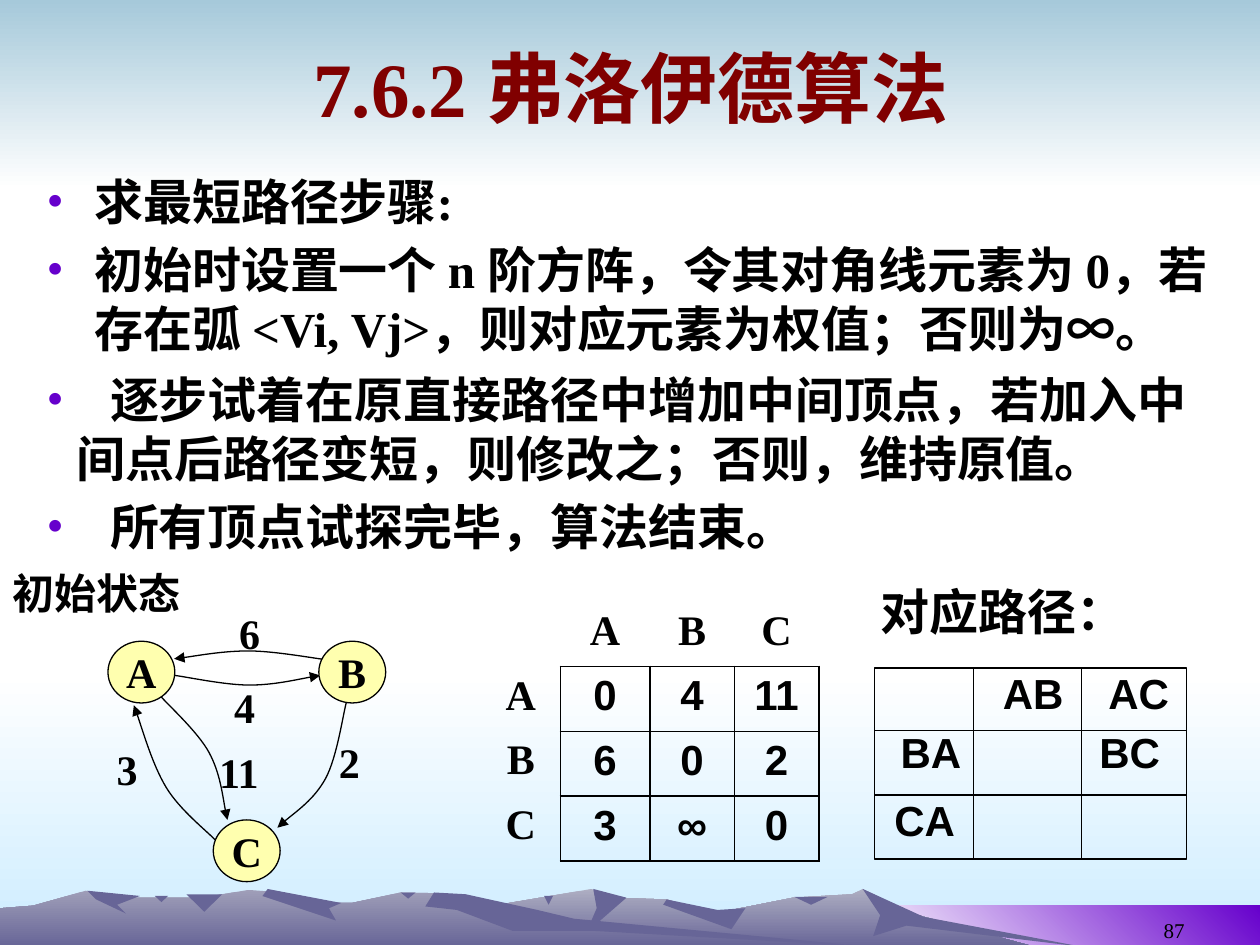
import pptx
import pptx.dml.color
import pptx.enum.shapes
import pptx.enum.text
import pptx.oxml
import pptx.oxml.ns
import pptx.util
from lxml import etree

Pt = pptx.util.Pt
RGBColor = pptx.dml.color.RGBColor
qn = pptx.oxml.ns.qn
ALIGN = pptx.enum.text.PP_ALIGN
ANCHOR = pptx.enum.text.MSO_ANCHOR
SHAPE = pptx.enum.shapes.MSO_SHAPE

BLACK = RGBColor(0, 0, 0)
WHITE = RGBColor(255, 255, 255)
MAROON = RGBColor(0x80, 0, 0)
PURPLE = RGBColor(0x66, 0, 0xCC)
SKY = RGBColor(0xA6, 0xC9, 0xDA)
PALE_BLUE = RGBColor(0xCC, 0xEC, 0xFF)
FAR_RIDGE = RGBColor(0xAE, 0xAE, 0xC2)
NEAR_RIDGE = RGBColor(0x9F, 0x9E, 0xB8)
ROCK = RGBColor(0x67, 0x65, 0x97)
NODE_YELLOW = RGBColor(0xFF, 0xFF, 0xAF)
SERIF = "Times New Roman"
SANS = "Arial"
DOWNWARD = 270
RIGHT_UPWARD = 45
GROUND = 541
HAIRLINE = Pt(0.75)
LABEL_HEIGHT = 36

presentation = pptx.Presentation()
presentation.slide_width = Pt(720)
presentation.slide_height = Pt(540)
slide = presentation.slides.add_slide(presentation.slide_layouts[6])
shapes = slide.shapes


def format_text(text_frame, size, font=SERIF, align=ALIGN.LEFT, bold=True, color=BLACK):
    for paragraph in text_frame.paragraphs:
        paragraph.alignment = align
        for run in paragraph.runs:
            run.font.size = Pt(size)
            run.font.name = font
            run.font.bold = bold
            run.font.color.rgb = color


def add_text(text, left, top, width, height, size, anchor=ANCHOR.TOP, **style):
    text_frame = shapes.add_textbox(Pt(left), Pt(top), Pt(width), Pt(height)).text_frame
    text_frame.word_wrap = True
    text_frame.vertical_anchor = anchor
    text_frame.text = text
    format_text(text_frame, size, **style)
    return text_frame


scenery = []
for left, top, width, height, colors, angle in [
    (0, 384, 720, 156, (WHITE, PALE_BLUE), DOWNWARD),
    (0, 0, 720, 108, (SKY, WHITE), DOWNWARD),
    (492, 517.5, 228, 24, (WHITE, PURPLE), RIGHT_UPWARD),
]:
    shape = shapes.add_shape(SHAPE.RECTANGLE, Pt(left), Pt(top), Pt(width), Pt(height))
    scenery.append((shape, colors, angle))

far_skyline = [(186, GROUND), (256, 522), (297, 515), (338, 508), (350, 513), (381, 514),
               (408, 522), (453, 513), (487, 511), (493, 508), (521, 522), (591, GROUND)]
far_right_face = [(493, 508), (503, 523), (499, 535), (518, 529), (618, GROUND), (528, 524)]
far_middle_face = [(339, 508), (341, 519), (335, 533), (358, 513)]
far_valley_face = [(381, 514), (379, 517), (418, 531), (426, 519), (410, 520)]
far_ledges = [(454, 512.5, 19, 4.5), (311, 512, 5, 5)]

near_skyline = [(0, GROUND), (0, 519), (19, 517.5), (49, 509), (68, 513), (115, 513),
                (142, 508.5), (161, 510), (170, 516), (201, 516), (229, 510), (255, 510.5),
                (311, 527), (497, GROUND)]
near_right_face = [(243, 518), (248, 510), (266, 511), (307, 520), (328, 525),
                   (497, GROUND), (340, 532), (293, 532), (261, 520)]
near_middle_face = [(153, 508), (150, 512), (192, 526), (188, 519), (195, 516)]
near_left_face = [(50, 509), (55, 514), (72, 522), (67, 517), (80, 512)]
near_ledges = [(229, 510, 8.5, 3.5), (106.5, 511, 20.5, 10), (88.5, 512, 7.5, 3.5)]

for skyline, ridge_color, faces, ledges in [
    (far_skyline, FAR_RIDGE, [far_right_face, far_middle_face, far_valley_face], far_ledges),
    (near_skyline, NEAR_RIDGE, [near_right_face, near_middle_face, near_left_face], near_ledges),
]:
    outlines = [skyline] + faces
    for left, top, width, height in ledges:
        outlines.append([(left, top), (left + width, top), (left + width / 2, top + height)])
    for outline in outlines:
        points = [(Pt(x), Pt(y)) for x, y in outline]
        builder = shapes.build_freeform(*points[0])
        builder.add_line_segments(points[1:], close=True)
        colors = (ridge_color, ROCK) if outline is skyline else (ROCK,)
        scenery.append((builder.convert_to_shape(), colors, DOWNWARD))

for shape, colors, angle in scenery:
    shape.shadow.inherit = False
    shape.line.fill.background()
    if len(colors) == 1:
        shape.fill.solid()
        shape.fill.fore_color.rgb = colors[0]
    else:
        shape.fill.gradient()
        shape.fill.gradient_angle = angle
        for stop, color in zip(shape.fill.gradient_stops, colors):
            stop.color.rgb = color

add_text("87", 516, 506, 168, 36, 12, ANCHOR.BOTTOM, align=ALIGN.RIGHT, bold=False)
add_text("7.6.2 弗洛伊德算法", 36.7, 9.4, 648, 80.6, 44, ANCHOR.MIDDLE,
         align=ALIGN.CENTER, color=MAROON)

setup_steps = add_text(
    "求最短路径步骤:\n初始时设置一个 n 阶方阵，令其对角线元素为 0，"
    "若存在弧 <Vi, Vj>，则对应元素为权值；否则为∞。", 19.5, 94.3, 680.5, 110, 28)
search_steps = add_text(
    "\t逐步试着在原直接路径中增加中间顶点，若加入中间点后路径变短，"
    "则修改之；否则，维持原值。\n\t所有顶点试探完毕，算法结束。", 19.5, 207.4, 686, 115, 28)
for text_frame, hanging in [(setup_steps, 27.3), (search_steps, 17)]:
    for index, paragraph in enumerate(text_frame.paragraphs):
        properties = paragraph._p.get_or_add_pPr()
        properties.set("marL", str(Pt(hanging)))
        properties.set("indent", str(-Pt(hanging)))
        bullet_color = etree.SubElement(properties, qn("a:buClr"))
        etree.SubElement(bullet_color, qn("a:srgbClr"), val=str(PURPLE))
        etree.SubElement(properties, qn("a:buFont"), typeface=SERIF)
        etree.SubElement(properties, qn("a:buChar"), char="•")
        if index:
            paragraph.space_before = Pt(5.6)

edges = [
    ("4", (126.7, 386), (100, 386), (142.5, 391.5), (183, 386)),
    ("6", (129.6, 343.5), (186.5, 377), (142.5, 372), (99.5, 376.5)),
    ("11", (118.1, 423.2), (91.5, 397.5), (119.5, 430), (130, 468.5)),
    ("3", (59.6, 421.2), (123, 480), (95, 450), (76.5, 403)),
    ("2", (186.5, 417.5), (198, 401), (186, 445), (158.5, 473)),
]
for weight, label_corner, start, middle, end in edges:
    knots = [start, start, middle, end, end]
    points = []
    for before, here, after, beyond in zip(knots, knots[1:], knots[2:], knots[3:]):
        points.append([h + (a - b) / 6 for b, h, a in zip(before, here, after)])
        points.append([a - (y - h) / 6 for h, a, y in zip(here, after, beyond)])
        points.append(after)
    builder = shapes.build_freeform(Pt(start[0]), Pt(start[1]))
    builder.add_line_segments([(Pt(x), Pt(y)) for x, y in points], close=False)
    arrow = builder.convert_to_shape()
    arrow.shadow.inherit = False
    arrow.fill.background()
    arrow.line.color.rgb = BLACK
    arrow.line.width = HAIRLINE
    etree.SubElement(arrow.line._get_or_add_ln(), qn("a:tailEnd"), type="triangle")
    segments = list(arrow._element.iter(qn("a:lnTo")))
    outline = segments[0].getparent()
    for first in range(0, len(segments), 3):
        curve = etree.SubElement(outline, qn("a:cubicBezTo"))
        for segment in segments[first:first + 3]:
            curve.append(segment[0])
            outline.remove(segment)
    add_text(weight, *label_corner, 15 + 14 * len(weight), LABEL_HEIGHT, 24)

for name, left, top in [("A", 61.7, 366.4), ("B", 182.2, 366.4), ("C", 121.9, 468.5)]:
    node = shapes.add_shape(SHAPE.OVAL, Pt(left), Pt(top), Pt(38.2), Pt(35.3))
    node.shadow.inherit = False
    node.fill.solid()
    node.fill.fore_color.rgb = NODE_YELLOW
    node.line.color.rgb = BLACK
    node.line.width = HAIRLINE
    node.text_frame.word_wrap = False
    node.text_frame.vertical_anchor = ANCHOR.MIDDLE
    node.text_frame.text = name
    format_text(node.text_frame, 24, align=ALIGN.CENTER)

matrix = [["", "A", "B", "C"], ["A", "0", "4", "11"], ["B", "6", "0", "2"], ["C", "3", "∞", "0"]]
table = shapes.add_table(4, 4, Pt(275), Pt(343.7), Pt(193), Pt(148.4)).table
table.first_row = False
table.horz_banding = False
for column, width in zip(table.columns, (45.2, 51.2, 48.3, 48.3)):
    column.width = Pt(width)
for row_index, values in enumerate(matrix):
    table.rows[row_index].height = Pt(37.1)
    for column_index, value in enumerate(values):
        cell = table.cell(row_index, column_index)
        cell.text = value
        inside = row_index > 0 and column_index > 0
        format_text(cell.text_frame, 24, SANS if inside else SERIF, ALIGN.CENTER)
        properties = cell._tc.get_or_add_tcPr()
        for side, visible in [("L", inside), ("R", row_index > 0),
                              ("T", inside), ("B", column_index > 0)]:
            border = etree.SubElement(properties, qn("a:ln" + side), w=str(Pt(1)))
            if visible:
                fill = etree.SubElement(border, qn("a:solidFill"))
                etree.SubElement(fill, qn("a:srgbClr"), val=str(BLACK))
            else:
                etree.SubElement(border, qn("a:noFill"))
        cell.fill.background()

add_text("对应路径：", 496, 328.5, 160, 41, 28)
grid_left, grid_top, grid_right, grid_bottom = 499.6, 381.8, 678, 491
path_grid = shapes.add_shape(SHAPE.RECTANGLE, Pt(grid_left), Pt(grid_top),
                             Pt(grid_right - grid_left), Pt(grid_bottom - grid_top))
path_grid.shadow.inherit = False
path_grid.fill.background()
path_grid.line.color.rgb = BLACK
path_grid.line.width = HAIRLINE
row_lines = [(grid_left, y, grid_right, y) for y in (417.4, 454.3)]
column_lines = [(x, grid_top, x, grid_bottom) for x in (556.4, 618)]
for ends in row_lines + column_lines:
    line = shapes.add_connector(
        pptx.enum.shapes.MSO_CONNECTOR.STRAIGHT, *[Pt(length) for length in ends])
    line.line.color.rgb = BLACK
    line.line.width = HAIRLINE
    etree.SubElement(line._element.spPr, qn("a:effectLst"))

path_header = add_text("AB\tAC", 566, 378, 115, LABEL_HEIGHT, 24, font=SANS)
path_middle = add_text("BA\tBC", 507.5, 411.7, 168, LABEL_HEIGHT, 24, font=SANS)
add_text("CA", 504, 450.5, 52, LABEL_HEIGHT, 24, font=SANS)
add_text("初始状态", 0, 321, 127.5, LABEL_HEIGHT, 24, font=SANS)

for text_frame, tab in [(search_steps, 36.3), (path_header, 60.3), (path_middle, 113.6)]:
    for paragraph in text_frame.paragraphs:
        tab_list = etree.SubElement(paragraph._p.get_or_add_pPr(), qn("a:tabLst"))
        etree.SubElement(tab_list, qn("a:tab"), pos=str(Pt(tab)), algn="l")

presentation.save("out.pptx")
